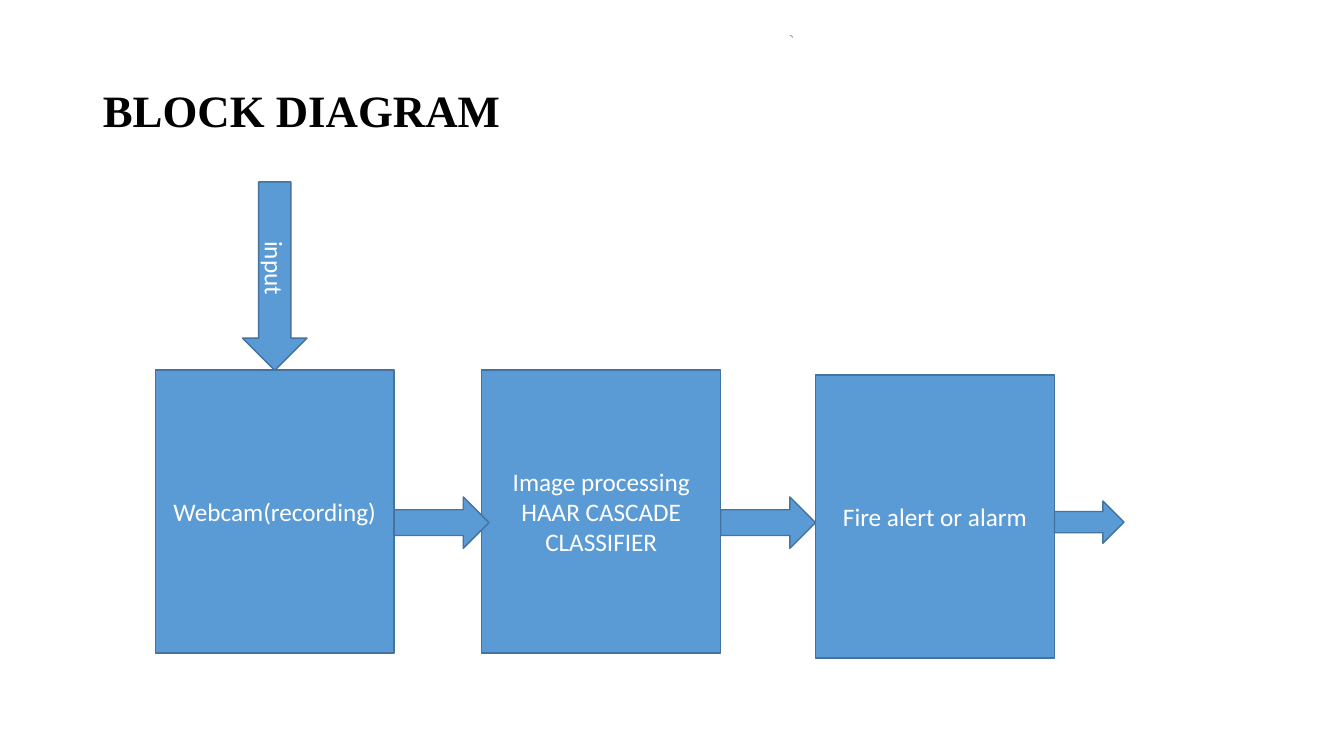
from pptx import Presentation
from pptx import util as u
from pptx.dml.color import RGBColor
from pptx.enum import shapes, text

BOX_WIDTH, BOX_HEIGHT = 17.78, 37.47
# label, box left, box top, then top, width and height of the arrow leaving it
STAGES = [
    ("Webcam(recording)", 11.55, 48.93, (65.73, 7.05, 6.8)),
    ("Image processing HAAR CASCADE CLASSIFIER", 35.85, 48.93, (65.73, 7.05, 6.8)),
    ("Fire alert or alarm", 60.68, 49.6, (66.27, 5.18, 5.6)),
]


def colour(hex_string):
    return RGBColor.from_string(hex_string)


def style(target, values):
    for name, value in values.items():
        setattr(target, name, value)


class DiagramPage:
    fill, outline, accent = "5B9BD5", "43739E", "5B9BD5"
    title_font = {"name": "Times New Roman", "size": u.Pt(32), "bold": True}
    label_font = {"name": "Calibri", "size": u.Pt(18), "bold": False}

    def __init__(self, deck):
        self.deck = deck
        self.page = deck.slides.add_slide(deck.slide_layouts[5])

    def frame(self, left, top, width, height):
        """Turn percentages of the slide's size into lengths."""
        across, down = self.deck.slide_width / 100, self.deck.slide_height / 100
        return [u.Emu(round(share * unit)) for share, unit in
                zip((left, top, width, height), (across, down) * 2)]

    def add_words(self, shape, words, font, ink, align):
        style(shape.text_frame, {"word_wrap": True,
                                 "vertical_anchor": text.MSO_ANCHOR.MIDDLE})
        para = shape.text_frame.paragraphs[0]
        para.alignment = align
        span = para.add_run()
        span.text = words
        style(span.font, font)
        span.font.color.rgb = colour(ink)
        return para

    def title(self, words, *place):
        box = self.page.shapes.title
        style(box, dict(zip(("left", "top", "width", "height"), self.frame(*place))))
        para = self.add_words(box, words, self.title_font, "000000", text.PP_ALIGN.LEFT)
        para.line_spacing = 0.9

    def outlined(self, kind, place, line, weight):
        shape = self.page.shapes.add_shape(kind, *self.frame(*place))
        shape.shadow.inherit = False
        shape.line.color.rgb = colour(line)
        shape.line.width = u.Pt(weight)
        return shape

    def block(self, kind, *place, label="", rotation=0):
        shape = self.outlined(kind, place, self.outline, 1)
        shape.fill.solid()
        shape.fill.fore_color.rgb = colour(self.fill)
        shape.rotation = rotation
        if label:
            self.add_words(shape, label, self.label_font, "FFFFFF", text.PP_ALIGN.CENTER)

    def arc(self, *place):
        shape = self.outlined(shapes.MSO_SHAPE.ARC, place, self.accent, 0.5)
        shape.fill.background()


def main():
    deck = Presentation()
    deck.slide_width, deck.slide_height = u.Inches(13.33), u.Inches(7.5)
    diagram = DiagramPage(deck)
    box, arrow = shapes.MSO_SHAPE.RECTANGLE, shapes.MSO_SHAPE.RIGHT_ARROW

    diagram.title("BLOCK DIAGRAM", 6.9, 5.33, 86.25, 19.33)
    for label, left, top, _ in STAGES:
        diagram.block(box, left, top, BOX_WIDTH, BOX_HEIGHT, label=label)
    diagram.arc(58.58, 4.67, 0.38, 0.67)
    diagram.block(arrow, 13.43, 32.27, 14.03, 8.53, label="input", rotation=90)
    for _, left, _, (top, width, height) in STAGES:
        diagram.block(arrow, left + BOX_WIDTH, top, width, height)

    deck.save("out.pptx")


if __name__ == "__main__":
    main()
